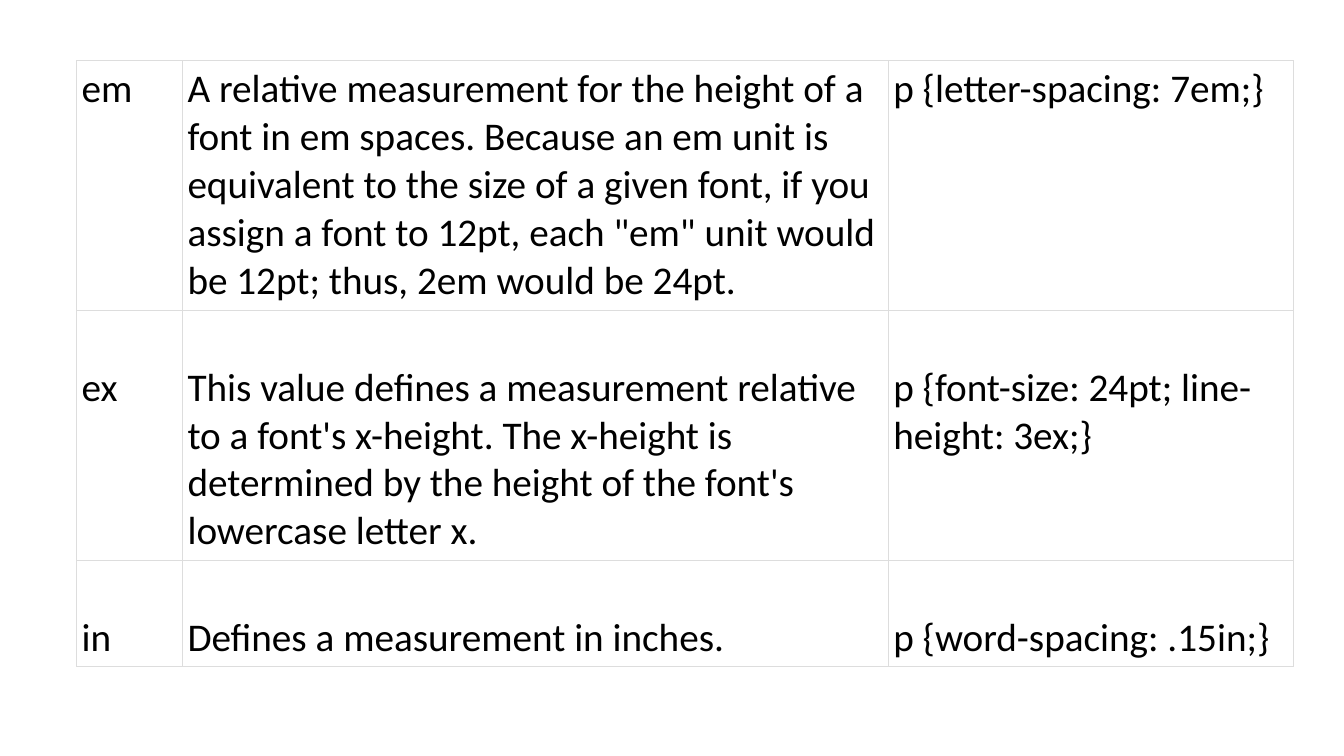
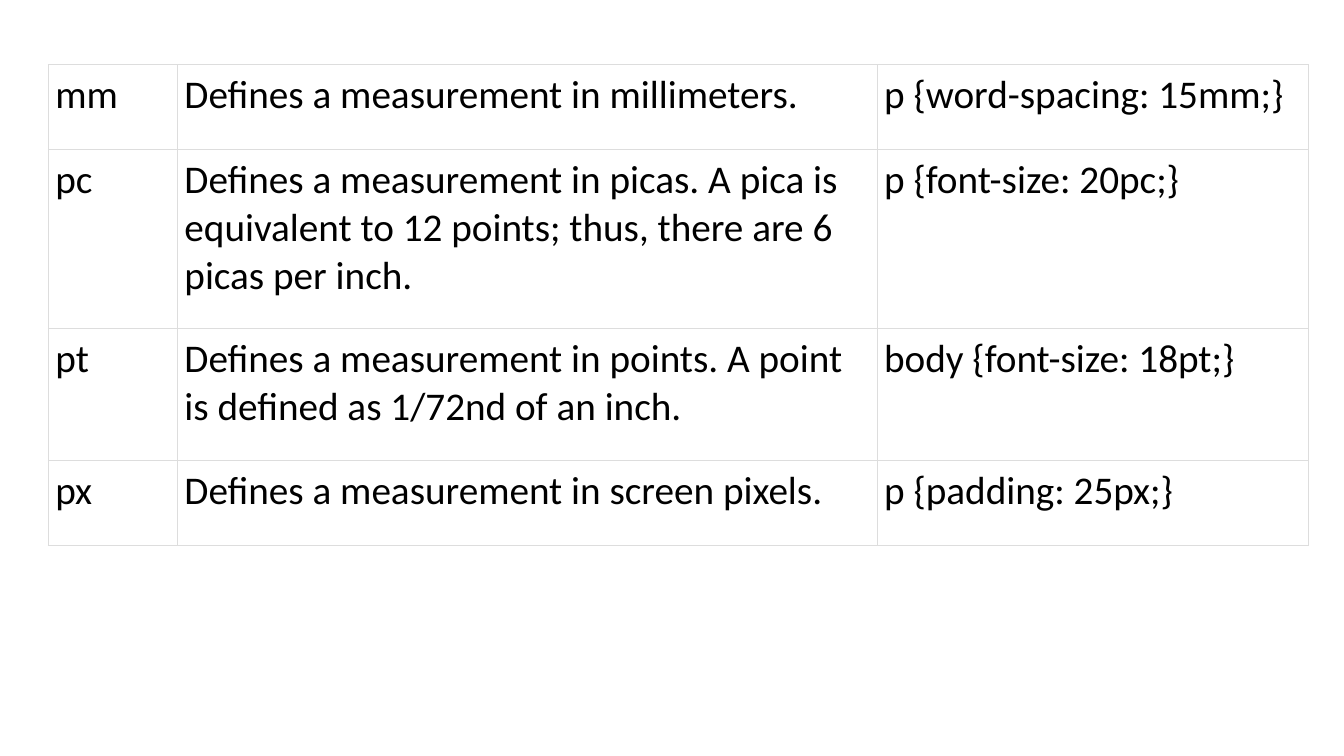
"""Build two slides of tables that list CSS measurement units."""
from lxml import etree
from pptx import Presentation
from pptx.dml import color
from pptx.oxml import ns
from pptx.util import Inches, Pt

FONT, TEXT_SIZE = "Calibri", 28
TEXT, BORDER, BACKGROUND = "000000", "DDDDDD", "FFFFFF"
BORDER_WIDTH = 0.75
LINE_HEIGHT = 0.48

TABLES = [
    {
        "left": 0.76, "top": 0.6, "inset": 0.05,
        "columns": [1.05, 7, 4.02],
        "heights": [2.48, 2.48, 1.04],
        "lowered_rows": {1, 2},
        "rows": [
            ("em",
             "A relative measurement for the height of a font in em spaces. "
             "Because an em unit is equivalent to the size of a given font, "
             "if you assign a font to 12pt, each \"em\" unit would be 12pt; "
             "thus, 2em would be 24pt.",
             "p {letter-spacing: 7em;}"),
            ("ex",
             "This value defines a measurement relative to a font's x-height. "
             "The x-height is determined by the height of the font's "
             "lowercase letter x.",
             "p {font-size: 24pt; line-height: 3ex;}"),
            ("in", "Defines a measurement in inches.",
             "p {word-spacing: .15in;}"),
        ],
    },
    {
        "left": 0.48, "top": 0.64, "inset": 0.07,
        "columns": [1.28, 6.94, 4.28],
        "heights": [0.84, 1.78, 1.31, 0.84],
        "lowered_rows": set(),
        "rows": [
            ("mm", "Defines a measurement in millimeters.",
             "p {word-spacing: 15mm;}"),
            ("pc",
             "Defines a measurement in picas. A pica is equivalent to "
             "12 points; thus, there are 6 picas per inch.",
             "p {font-size: 20pc;}"),
            ("pt",
             "Defines a measurement in points. A point is defined as "
             "1/72nd of an inch.",
             "body {font-size: 18pt;}"),
            ("px", "Defines a measurement in screen pixels.",
             "p {padding: 25px;}"),
        ],
    },
]


def rgb(value):
    return color.RGBColor.from_string(value)


def add_borders(cell):
    properties = cell._tc.get_or_add_tcPr()
    for position, side in enumerate(("lnL", "lnR", "lnT", "lnB")):
        line = etree.Element(ns.qn(f"a:{side}"), w=str(Pt(BORDER_WIDTH)))
        fill = etree.SubElement(line, ns.qn("a:solidFill"))
        etree.SubElement(fill, ns.qn("a:srgbClr"), val=BORDER)
        properties.insert(position, line)


def fill_cell(cell, content, inset, lowered):
    cell.margin_left = cell.margin_right = cell.margin_bottom = Inches(inset)
    cell.margin_top = Inches(inset + LINE_HEIGHT * lowered)
    cell.fill.background()
    add_borders(cell)
    run = cell.text_frame.paragraphs[0].add_run()
    run.text = content
    run.font.name = FONT
    run.font.size = Pt(TEXT_SIZE)
    run.font.color.rgb = rgb(TEXT)


def add_unit_table(slide, layout):
    columns, heights, rows = layout["columns"], layout["heights"], layout["rows"]
    table = slide.shapes.add_table(
        len(rows), len(columns), Inches(layout["left"]), Inches(layout["top"]),
        Inches(sum(columns)), Inches(sum(heights))).table
    table.first_row = table.horz_banding = False
    for column, width in zip(table.columns, columns):
        column.width = Inches(width)
    for row_index, (height, contents) in enumerate(zip(heights, rows)):
        row = table.rows[row_index]
        row.height = Inches(height)
        lowered = row_index in layout["lowered_rows"]
        for cell, content in zip(row.cells, contents):
            fill_cell(cell, content, layout["inset"], lowered)


def main():
    presentation = Presentation()
    presentation.slide_width = Inches(13.33)
    presentation.slide_height = Inches(7.5)
    background = presentation.slide_master.background.fill
    background.solid()
    background.fore_color.rgb = rgb(BACKGROUND)
    for layout in TABLES:
        slide = presentation.slides.add_slide(presentation.slide_layouts[6])
        add_unit_table(slide, layout)
    presentation.save("out.pptx")


if __name__ == "__main__":
    main()
